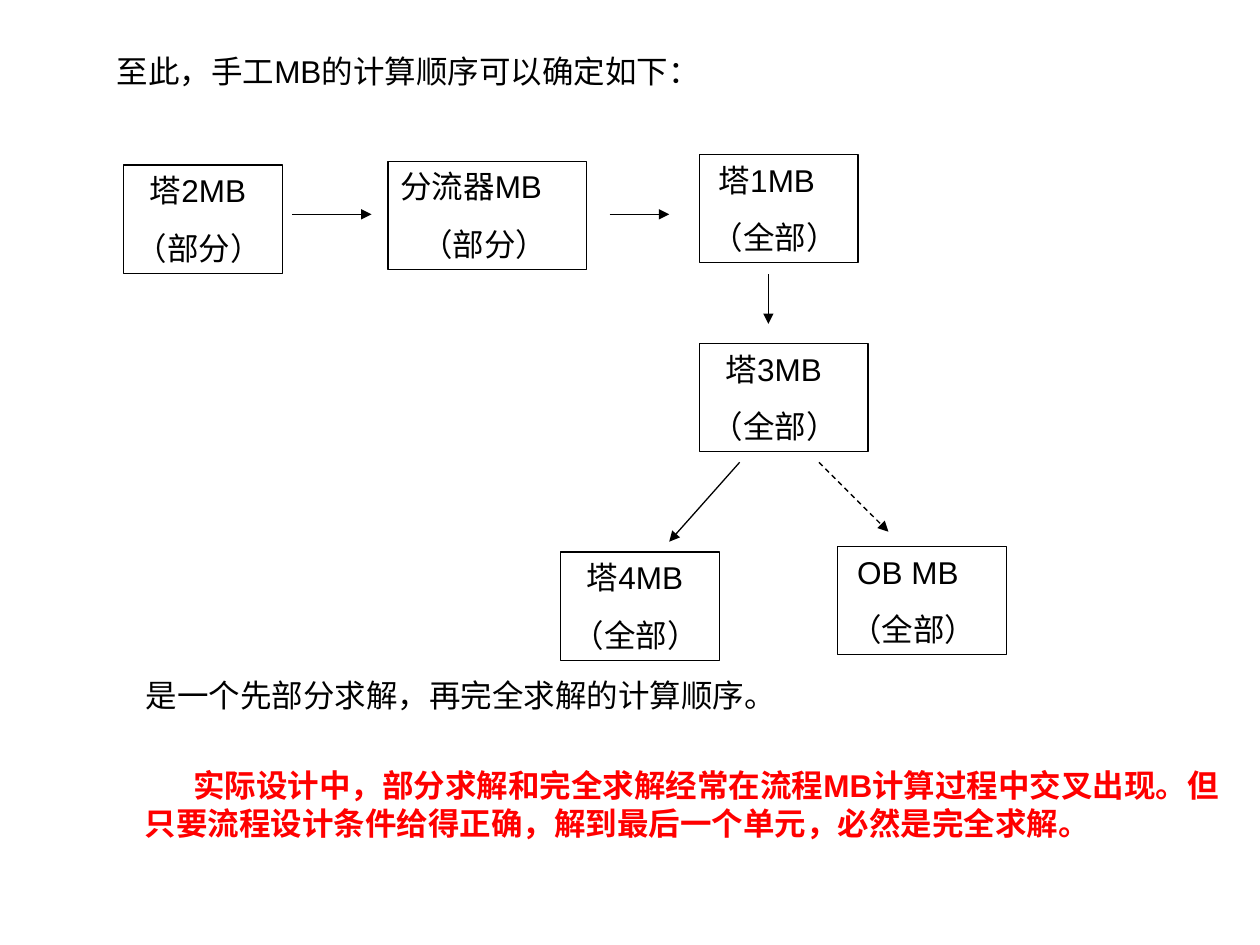
import pptx
import pptx.util
import pptx.dml.color
import pptx.enum.dml
import pptx.enum.shapes
import pptx.enum.text
from lxml import etree

Cm, Pt = pptx.util.Cm, pptx.util.Pt
HUES = {"ink": "000000", "alert": "FF0000"}
SPACE = 0.14  # width of one indent step in cm


def rgb(name):
    return pptx.dml.color.RGBColor.from_string(HUES[name])


def write(frame, lines, hue="ink", bold=False):
    """Fill a text frame with (text, indent steps) lines."""
    frame.word_wrap = True
    frame.auto_size = pptx.enum.text.MSO_AUTO_SIZE.NONE
    frame.vertical_anchor = pptx.enum.text.MSO_ANCHOR.TOP
    for num, (text, steps) in enumerate(lines):
        para = frame.add_paragraph() if num else frame.paragraphs[0]
        para.text = text
        para.alignment = pptx.enum.text.PP_ALIGN.LEFT
        para.space_before = Pt(11.2 if num else 0)
        props = para._p.get_or_add_pPr()
        props.set("marL", "0")
        props.set("indent", str(Cm(steps * SPACE)))
        font = para.font
        font.name, font.size, font.bold = "Arial", Pt(18), bold
        font.color.rgb = rgb(hue)


def head(slide, box, text):
    title = slide.shapes.title
    title.left, title.top, title.width, title.height = map(Cm, box)
    write(title.text_frame, [(text, 0)])


def note(slide, box, text, steps=0, **style):
    area = slide.shapes.add_textbox(*map(Cm, box))
    write(area.text_frame, [(text, steps)], **style)


def step(slide, box, lines):
    rect = slide.shapes.add_shape(
        pptx.enum.shapes.MSO_SHAPE.RECTANGLE, *map(Cm, box))
    rect.shadow.inherit = False
    rect.fill.background()
    rect.line.color.rgb = rgb("ink")
    rect.line.width = Pt(0.75)
    write(rect.text_frame, lines)


def arrow(slide, ends, dash=False):
    link = slide.shapes.add_connector(
        pptx.enum.shapes.MSO_CONNECTOR.STRAIGHT, *map(Cm, ends))
    link.line.color.rgb = rgb("ink")
    link.line.width = Pt(0.75)
    if dash:
        link.line.dash_style = pptx.enum.dml.MSO_LINE.DASH
    space = "{http://schemas.openxmlformats.org/drawingml/2006/main}"
    etree.SubElement(link.line._get_or_add_ln(), space + "tailEnd",
                     type="triangle")
    etree.SubElement(link._element.spPr, space + "effectLst")


def flow(slide, box):
    """Draw the steps and arrows relative to the box's corner."""
    left, top = box[:2]
    part, full = "（部分）", "（全部）"
    tall = 2.18
    steps = [
        (0, 0.21, 3.2, ("塔2MB", 2), (part, 0)),
        (5.33, 0.13, 4.01, ("分流器MB", 0), (part, 3)),
        (11.61, 0, 3.2, ("塔1MB", 1), (full, 0)),
        (11.61, 3.81, 3.4, ("塔3MB", 2), (full, 0)),
        (8.81, 8.01, 3.2, ("塔4MB", 2), (full, 0)),
        (14.4, 7.9, 3.4, ("OB MB", 1), (full, 0)),
    ]
    for x, y, wide, *lines in steps:
        step(slide, (left + x, top + y, wide, tall), lines)
    arrows = [
        (3.4, 1.2, 5, 1.2, False),
        (9.8, 1.2, 11, 1.2, False),
        (13, 2.41, 13, 3.41, False),
        (12.42, 6.2, 11, 7.8, False),
        (14.02, 6.2, 15.42, 7.6, True),
    ]
    for x1, y1, x2, y2, dash in arrows:
        arrow(slide, (left + x1, top + y1, left + x2, top + y2), dash)


def main():
    deck = pptx.Presentation()
    deck.slide_width, deck.slide_height = Cm(25.4), Cm(19.05)
    slide = deck.slides.add_slide(deck.slide_layouts.get_by_name("Title Only"))
    head(slide, (2.1, 0.92, 20.2, 1.02), "至此，手工MB的计算顺序可以确定如下：")
    flow(slide, (2.49, 3.12, 17.8, 10.19))
    note(slide, (2.69, 13.51, 13.4, 1.02),
         "是一个先部分求解，再完全求解的计算顺序。")
    note(slide, (2.67, 15.32, 22.2, 1.78),
         "实际设计中，部分求解和完全求解经常在流程MB计算过程中交叉出现。"
         "但只要流程设计条件给得正确，解到最后一个单元，必然是完全求解。",
         steps=7, hue="alert", bold=True)
    deck.save("out.pptx")


if __name__ == "__main__":
    main()
